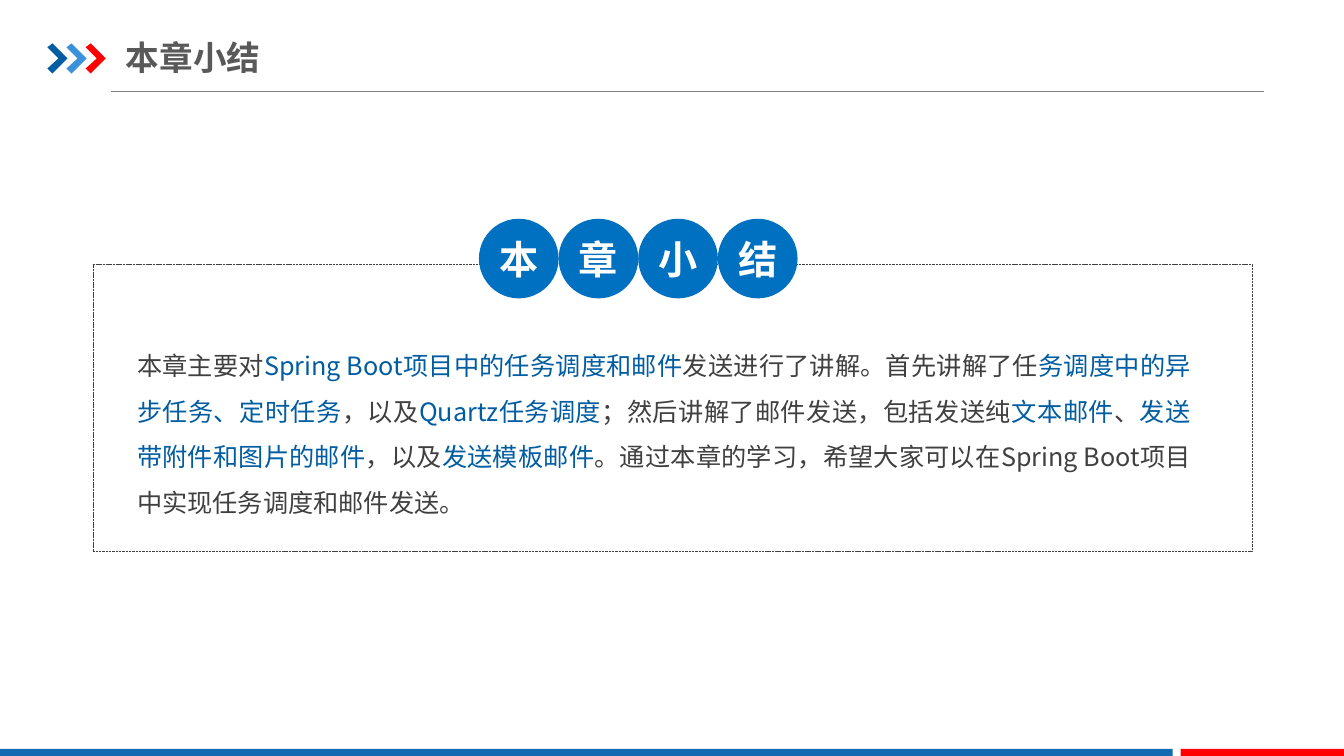
from itertools import cycle

from lxml import etree
from pptx import Presentation
from pptx.dml.color import RGBColor
from pptx.enum import dml, shapes, text
from pptx.oxml import ns
from pptx.util import Inches, Pt

FONT = "Noto Sans CJK SC"
NAVY = RGBColor(0x00, 0x5D, 0xA2)
SKY = RGBColor(0x39, 0x92, 0xDB)
RED = RGBColor(0xFF, 0x00, 0x00)
FOOTER_BLUE = RGBColor(0x13, 0x69, 0xB2)
BADGE_BLUE = RGBColor(0x00, 0x70, 0xC0)
RULE_GREY = RGBColor(0x80, 0x80, 0x80)
TITLE_GREY = RGBColor(0x59, 0x59, 0x59)
BODY_GREY = RGBColor(0x40, 0x40, 0x40)
WHITE = RGBColor(0xFF, 0xFF, 0xFF)

TITLE = "本章小结"
# Plain and highlighted phrases take turns, starting with a plain one.
SUMMARY = [
    "本章主要对", "Spring Boot项目中的任务调度和邮件",
    "发送进行了讲解。首先讲解了任", "务调度中的异步任务、定时任务",
    "，以及", "Quartz任务调度",
    "；然后讲解了邮件发送，包括发送纯", "文本邮件",
    "、", "发送带附件和图片的邮件",
    "，以及", "发送模板邮件",
    "。通过本章的学习，希望大家可以在Spring Boot项目中实现任务调度和邮件发送。",
]


def add_run(paragraph, words, size, color, bold=False):
    run = paragraph.add_run()
    run.text = words
    for name, value in {"size": Pt(size), "bold": bold, "name": FONT}.items():
        setattr(run.font, name, value)
    run.font.color.rgb = color
    east_asian = etree.SubElement(run.font._element, ns.qn("a:ea"))
    east_asian.set("typeface", FONT)


def format_frame(frame, side, top, **settings):
    """Set the insets in inches and any further text frame settings."""
    insets = {"margin_left": side, "margin_right": side,
              "margin_top": top, "margin_bottom": top}
    for name, value in insets.items():
        setattr(frame, name, Inches(value))
    for name, value in {"word_wrap": True, **settings}.items():
        setattr(frame, name, value)


def paint(shape, color):
    """Give the shape a plain fill without outline or shadow."""
    shape.shadow.inherit = False
    shape.fill.solid()
    shape.fill.fore_color.rgb = color
    shape.line.fill.background()


def add_chevrons(slide, left, top, pitch):
    outline = [(0, 0.04), (0.05, 0), (0.2, 0.15), (0.05, 0.3),
               (0, 0.25), (0.11, 0.15)]
    for index, color in enumerate([NAVY, SKY, RED]):
        points = [(Inches(left + index * pitch + x), Inches(top + y))
                  for x, y in outline]
        builder = slide.shapes.build_freeform(*points[0])
        builder.add_line_segments(points[1:], close=True)
        paint(builder.convert_to_shape(), color)


def add_header(slide, left, top, width):
    rule_y = Inches(top + 0.48)
    rule = slide.shapes.add_connector(
        shapes.MSO_CONNECTOR.STRAIGHT,
        Inches(left + 0.63), rule_y, Inches(left + width), rule_y)
    rule.line.color.rgb = RULE_GREY
    rule.line.width = Pt(0.75)
    etree.SubElement(rule._element.spPr, ns.qn("a:effectLst"))

    add_chevrons(slide, left, top, 0.19)

    title = slide.shapes.add_textbox(
        Inches(left + 0.78), Inches(top - 0.14), Inches(6.2), Inches(0.55))
    format_frame(title.text_frame, 0, 0.07,
                 vertical_anchor=text.MSO_ANCHOR.MIDDLE)
    add_run(title.text_frame.paragraphs[0], TITLE, 24, TITLE_GREY, bold=True)


def add_footer(slide, top, height):
    for left, width, color in [(0, 11.63, FOOTER_BLUE), (11.71, 1.63, RED)]:
        bar = slide.shapes.add_shape(
            shapes.MSO_SHAPE.RECTANGLE,
            Inches(left), Inches(top), Inches(width), Inches(height))
        paint(bar, color)


def add_badges(slide, left, top, diameter):
    """Place one touching circle for each character of the title."""
    for index, character in enumerate(TITLE):
        badge = slide.shapes.add_shape(
            shapes.MSO_SHAPE.OVAL, Inches(left + index * diameter),
            Inches(top), Inches(diameter), Inches(diameter))
        paint(badge, BADGE_BLUE)
        format_frame(badge.text_frame, 0, 0,
                     vertical_anchor=text.MSO_ANCHOR.MIDDLE)
        paragraph = badge.text_frame.paragraphs[0]
        paragraph.alignment = text.PP_ALIGN.CENTER
        add_run(paragraph, character, 28, WHITE, bold=True)


def add_summary(slide, left, top, width, height):
    body = slide.shapes.add_textbox(
        Inches(left + 0.31), Inches(top + 0.64),
        Inches(width - 0.79), Inches(height - 0.9))
    format_frame(body.text_frame, 0.13, 0.07,
                 auto_size=text.MSO_AUTO_SIZE.SHAPE_TO_FIT_TEXT)
    paragraph = body.text_frame.paragraphs[0]
    paragraph.alignment = text.PP_ALIGN.JUSTIFY
    paragraph.line_spacing = 1.5
    for phrase, color in zip(SUMMARY, cycle([BODY_GREY, NAVY])):
        add_run(paragraph, phrase, 18, color)

    border = slide.shapes.add_shape(
        shapes.MSO_SHAPE.ROUNDED_RECTANGLE,
        Inches(left), Inches(top), Inches(width), Inches(height))
    border.adjustments[0] = 0
    border.shadow.inherit = False
    border.fill.background()
    border.line.color.rgb = BODY_GREY
    border.line.width = Pt(0.25)
    border.line.dash_style = dml.MSO_LINE.SQUARE_DOT

    add_badges(slide, left + 3.83, top - 0.45, 0.79)


def main():
    deck = Presentation()
    deck.slide_width = Inches(13.33)
    deck.slide_height = Inches(7.5)
    slide = deck.slides.add_slide(deck.slide_layouts[6])
    add_header(slide, 0.47, 0.43, 12.07)
    add_footer(slide, 7.43, 0.09)
    add_summary(slide, 0.92, 2.62, 11.5, 2.85)
    deck.save("out.pptx")


if __name__ == "__main__":
    main()
